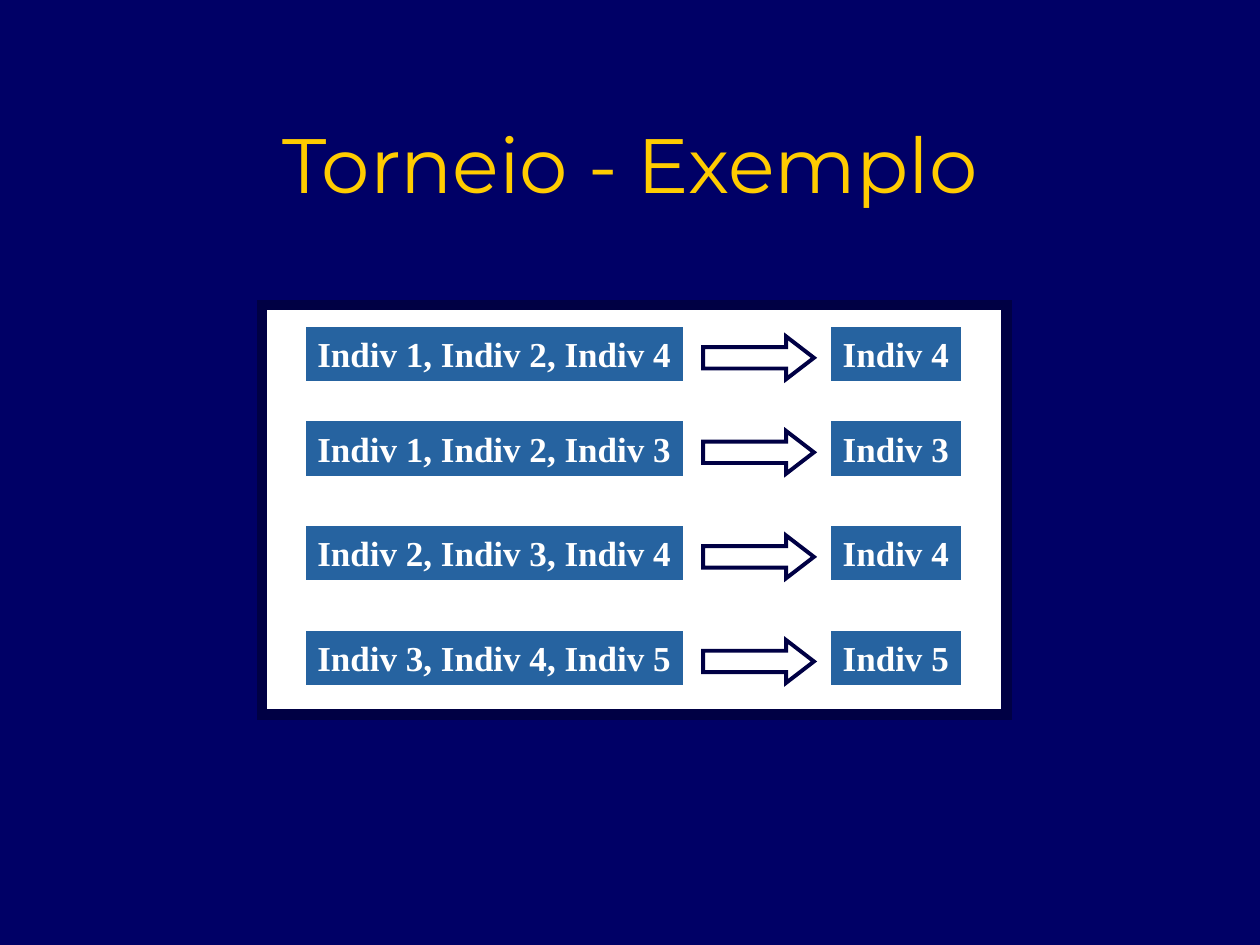
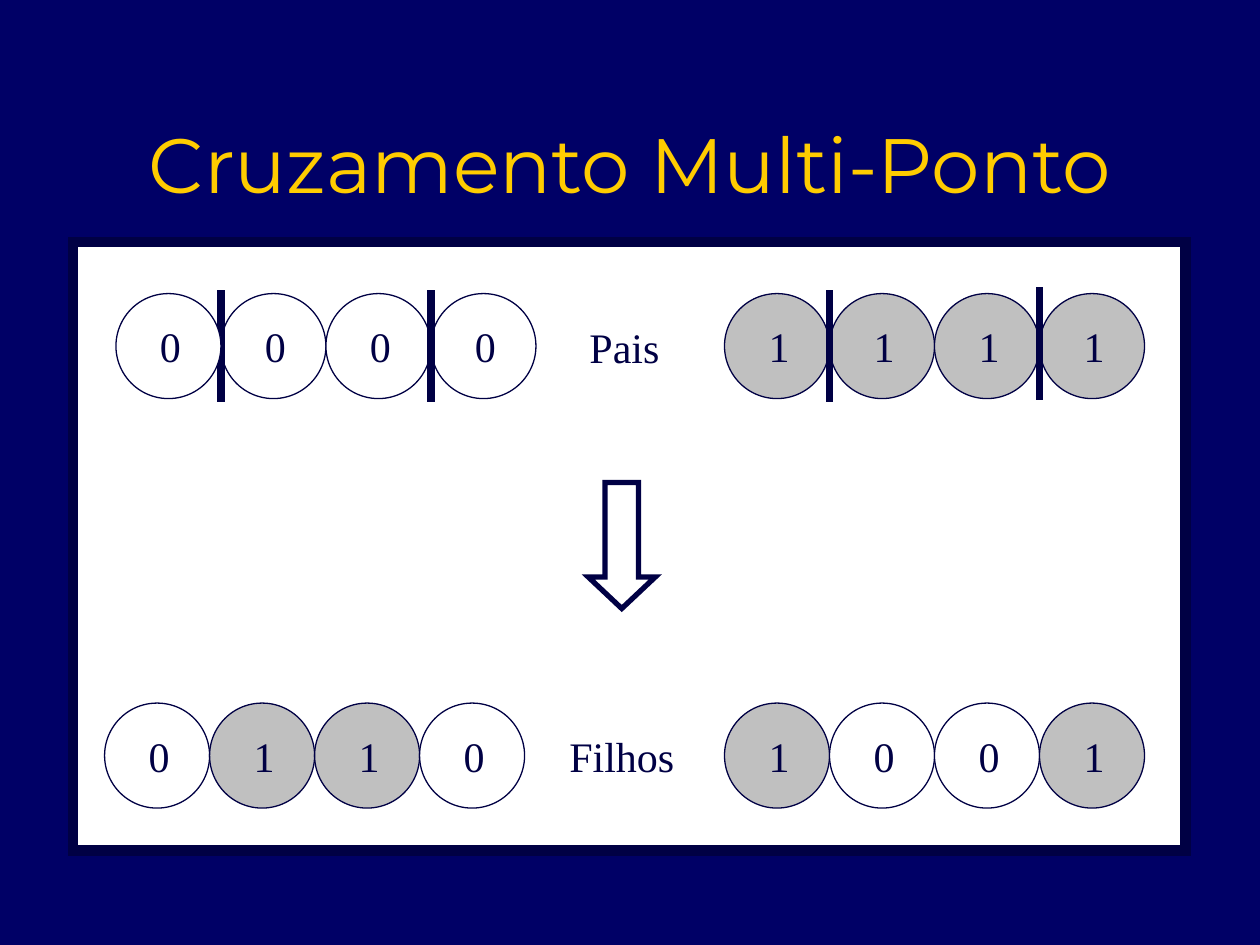
import pptx
import pptx.util
import pptx.dml.color
import pptx.enum.shapes
import pptx.enum.text
import pptx.oxml
from dataclasses import dataclass

Inches = pptx.util.Inches
Shape = pptx.enum.shapes.MSO_SHAPE
Align = pptx.enum.text.PP_ALIGN
Anchor = pptx.enum.text.MSO_ANCHOR
AutoSize = pptx.enum.text.MSO_AUTO_SIZE

TOURNAMENT_TITLE = "Torneio - Exemplo"
TOURNAMENT_PANEL = (2.08, 2.42, 5.91, 3.25)
TOURNAMENTS = [
    (2.59, "Indiv 1, Indiv 2, Indiv 4", "Indiv 4"),
    (3.34, "Indiv 1, Indiv 2, Indiv 3", "Indiv 3"),
    (4.17, "Indiv 2, Indiv 3, Indiv 4", "Indiv 4"),
    (5.0, "Indiv 3, Indiv 4, Indiv 5", "Indiv 5"),
]

CROSSOVER_TITLE = "Cruzamento Multi-Ponto"
CROSSOVER_PANEL = (0.58, 1.92, 8.83, 4.83)
CHROMOSOMES = [
    {"left": 0.92, "top": 2.33, "genes": "0000", "cuts": [(1, 0), (3, 0)], "front": [0]},
    {"left": 5.75, "top": 2.33, "genes": "1111", "cuts": [(1, 0), (3, -0.02)], "front": []},
    {"left": 0.83, "top": 5.58, "genes": "0110", "cuts": [], "front": []},
    {"left": 5.75, "top": 5.58, "genes": "1001", "cuts": [], "front": []},
]
GENERATIONS = [("Pais", (4.58, 2.5, 0.82, 0.5)), ("Filhos", (4.42, 5.75, 1.1, 0.5))]
GENE_SIZE = 5 / 6
DIGIT_WIDTH, DIGIT_HEIGHT = 0.33, 0.5


@dataclass(frozen=True)
class Theme:
    background: str = "000066"
    title: str = "FFCC00"
    ink: str = "000044"
    paper: str = "FFFFFF"
    label: str = "2663A0"
    gray: str = "C0C0C0"
    title_font: str = "Montserrat"
    body_font: str = "Times New Roman"
    title_size: int = 44
    label_size: int = 20
    gene_size: int = 24


THEME = Theme()
GENE_FILLS = {"0": THEME.paper, "1": THEME.gray}


def rgb(color):
    return pptx.dml.color.RGBColor.from_string(color)


def place(box):
    return [Inches(length) for length in box]


def add_line_child(line, tag):
    element = pptx.oxml.parse_xml(
        f'<a:{tag} xmlns:a="http://schemas.openxmlformats.org/drawingml/2006/main"/>')
    line.append(element)
    return element


def add_run(paragraph, text, font_name, size, color, bold=False):
    run = paragraph.add_run()
    run.text = text
    run.font.name = font_name
    run.font.size = pptx.util.Pt(size)
    run.font.bold = bold
    run.font.color.rgb = rgb(color)


def write(shape, text, size, color, bold=False, align=Align.LEFT, wrap=True):
    frame = shape.text_frame
    frame.word_wrap = wrap
    frame.auto_size = AutoSize.SHAPE_TO_FIT_TEXT
    frame.vertical_anchor = Anchor.TOP
    frame.paragraphs[0].alignment = align
    add_run(frame.paragraphs[0], text, THEME.body_font, size, color, bold)


def add_shape(slide, kind, box, fill, line_color=None, line_width=0.75):
    shape = slide.shapes.add_shape(kind, *place(box))
    shape.shadow.inherit = False
    shape.fill.solid()
    shape.fill.fore_color.rgb = rgb(fill)
    if line_color is None:
        shape.line.fill.background()
    else:
        shape.line.color.rgb = rgb(line_color)
        shape.line.width = pptx.util.Pt(line_width)
        add_line_child(shape.line._get_or_add_ln(), "miter").set("lim", "800000")
    return shape


def add_arrow(slide, kind, box, head, line_width):
    arrow = add_shape(slide, kind, box, THEME.paper, THEME.ink, line_width)
    arrow.adjustments[0] = 0.5
    arrow.adjustments[1] = head


def add_label(slide, box, text):
    label = add_shape(slide, Shape.RECTANGLE, box, THEME.label, THEME.paper)
    write(label, text, THEME.label_size, THEME.paper, bold=True, wrap=False)


def add_gene(slide, left, top, digit):
    fill = GENE_FILLS[digit]
    add_shape(slide, Shape.OVAL, (left, top, GENE_SIZE, GENE_SIZE), fill, THEME.ink)
    digit_box = (left + (GENE_SIZE - DIGIT_WIDTH) / 2, top + (GENE_SIZE - DIGIT_HEIGHT) / 2,
                 DIGIT_WIDTH, DIGIT_HEIGHT)
    label = add_shape(slide, Shape.RECTANGLE, digit_box, fill)
    write(label, digit, THEME.gene_size, THEME.ink, align=Align.CENTER)


def add_cut(slide, x, top):
    cut = slide.shapes.add_connector(
        pptx.enum.shapes.MSO_CONNECTOR.STRAIGHT,
        *place((x, top + GENE_SIZE, x, top)))
    cut.line.color.rgb = rgb(THEME.ink)
    cut.line.width = pptx.util.Pt(4.5)
    cut.line._get_or_add_ln().set("cap", "sq")
    add_line_child(cut._element.spPr, "effectLst")


def add_chromosome(slide, left, top, genes, cuts, front):
    def add_genes(positions):
        for position in positions:
            add_gene(slide, left + position * GENE_SIZE, top, genes[position])

    add_genes(position for position in range(len(genes)) if position not in front)
    for position, shift in cuts:
        add_cut(slide, left + position * GENE_SIZE, top + shift)
    add_genes(front)


def prepare_layout(presentation):
    background = presentation.slide_master.background.fill
    background.solid()
    background.fore_color.rgb = rgb(THEME.background)
    layout = presentation.slide_layouts.get_by_name("Title Only")
    title = layout.placeholders[0]
    title.left, title.top, title.width, title.height = place((0.75, 0.87, 8.5, 0.84))
    return layout


def add_slide(presentation, layout, title, panel):
    slide = presentation.slides.add_slide(layout)
    frame = slide.shapes.title.text_frame
    frame.auto_size = AutoSize.NONE
    frame.vertical_anchor = Anchor.MIDDLE
    frame.paragraphs[0].alignment = Align.CENTER
    add_run(frame.paragraphs[0], title, THEME.title_font, THEME.title_size, THEME.title)
    add_shape(slide, Shape.RECTANGLE, panel, THEME.paper, THEME.ink, 6)
    return slide


def build_tournament(presentation, layout):
    slide = add_slide(presentation, layout, TOURNAMENT_TITLE, TOURNAMENT_PANEL)
    for top, contestants, winner in TOURNAMENTS:
        add_label(slide, (2.42, top, 3.01, 0.44), contestants)
        add_arrow(slide, Shape.RIGHT_ARROW, (5.58, top + 0.08, 0.88, 0.34), 0.65, 2.25)
        add_label(slide, (6.59, top, 1.04, 0.44), winner)


def build_crossover(presentation, layout):
    slide = add_slide(presentation, layout, CROSSOVER_TITLE, CROSSOVER_PANEL)
    for chromosome in CHROMOSOMES:
        add_chromosome(slide, **chromosome)
    for name, box in GENERATIONS:
        write(slide.shapes.add_textbox(*place(box)), name, THEME.gene_size, THEME.ink)
    add_arrow(slide, Shape.DOWN_ARROW, (4.67, 3.83, 0.53, 1), 0.47, 3)


def main():
    presentation = pptx.Presentation()
    presentation.slide_width = Inches(10)
    presentation.slide_height = Inches(7.5)
    layout = prepare_layout(presentation)
    build_tournament(presentation, layout)
    build_crossover(presentation, layout)
    presentation.save("out.pptx")


if __name__ == "__main__":
    main()
